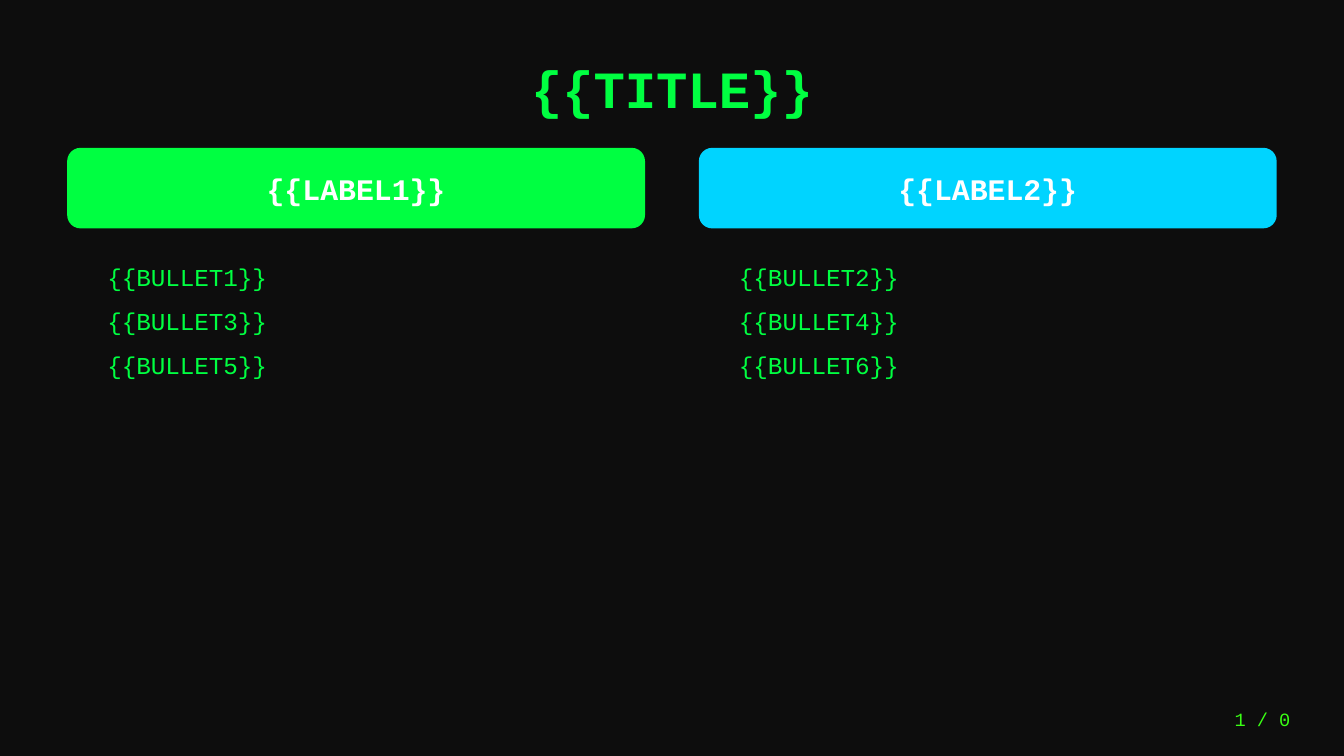
from pptx import Presentation
from pptx.dml.color import RGBColor
from pptx.enum.shapes import MSO_SHAPE
from pptx.enum.text import MSO_ANCHOR, MSO_AUTO_SIZE, PP_ALIGN
from pptx.util import Inches, Pt

ROUNDED = MSO_SHAPE.ROUNDED_RECTANGLE
TOP, MIDDLE = MSO_ANCHOR.TOP, MSO_ANCHOR.MIDDLE
LEFT, CENTER, RIGHT = PP_ALIGN.LEFT, PP_ALIGN.CENTER, PP_ALIGN.RIGHT
NO_AUTOFIT = MSO_AUTO_SIZE.NONE

FONT = "Courier New"
BACKGROUND, GREEN, CYAN, WHITE, NEON = "0D0D0D", "00FF41", "00D4FF", "FFFFFF", "39FF14"
TITLE_ONLY = 5


def set_fill(fill, color):
    fill.solid()
    fill.fore_color.rgb = RGBColor.from_string(color)


def write(sp, lines, size, color, bold=False, align=LEFT, anchor=MIDDLE, after=0):
    """Fill a shape with one paragraph per line."""
    tf = sp.text_frame
    tf.word_wrap = True
    tf.auto_size = NO_AUTOFIT
    tf.vertical_anchor = anchor
    for i, line in enumerate(lines):
        p = tf.paragraphs[0] if i == 0 else tf.add_paragraph()
        p.alignment = align
        p.space_after = Pt(after)
        r = p.add_run()
        r.text = line
        r.font.name = FONT
        r.font.size = Pt(size)
        r.font.bold = bold
        r.font.color.rgb = RGBColor.from_string(color)


def add_text(s, x, y, w, h, lines, *style, **options):
    sp = s.shapes.add_textbox(Inches(x), Inches(y), Inches(w), Inches(h))
    write(sp, lines, *style, **options)


def add_title(s, x, y, w, h, text):
    sp = s.shapes.title
    sp.left, sp.top, sp.width, sp.height = map(Inches, (x, y, w, h))
    write(sp, [text], 28, GREEN, bold=True, align=CENTER)


def add_column(s, x, y, w, h, label, color, bullets):
    """Draw a coloured header with a list below it."""
    header = s.shapes.add_shape(ROUNDED, Inches(x), Inches(y), Inches(w), Inches(0.6))
    header.shadow.inherit = False
    set_fill(header.fill, color)
    header.line.fill.background()
    write(header, [label], 16, WHITE, bold=True, align=CENTER)
    add_text(s, x + 0.2, y + 0.8, w - 0.4, h - 0.8, bullets, 13, GREEN,
             anchor=TOP, after=8)


def main():
    prs = Presentation()
    prs.slide_width = Inches(10)
    prs.slide_height = prs.slide_width * 9 // 16
    s = prs.slides.add_slide(prs.slide_layouts[TITLE_ONLY])
    set_fill(s.background.fill, BACKGROUND)

    add_title(s, 0.5, 0.3, 9, 0.7, "{{TITLE}}")
    columns = [
        ("{{LABEL1}}", GREEN, ["{{BULLET1}}", "{{BULLET3}}", "{{BULLET5}}"]),
        ("{{LABEL2}}", CYAN, ["{{BULLET2}}", "{{BULLET4}}", "{{BULLET6}}"]),
    ]
    width, gap = 4.3, 0.4
    for i, column in enumerate(columns):
        add_column(s, 0.5 + i * (width + gap), 1.1, width, 3.6, *column)
    add_text(s, 8.5, 5.2, 1.2, 0.3, ["1 / 0"], 10, NEON, align=RIGHT)

    prs.save("out.pptx")


if __name__ == "__main__":
    main()
